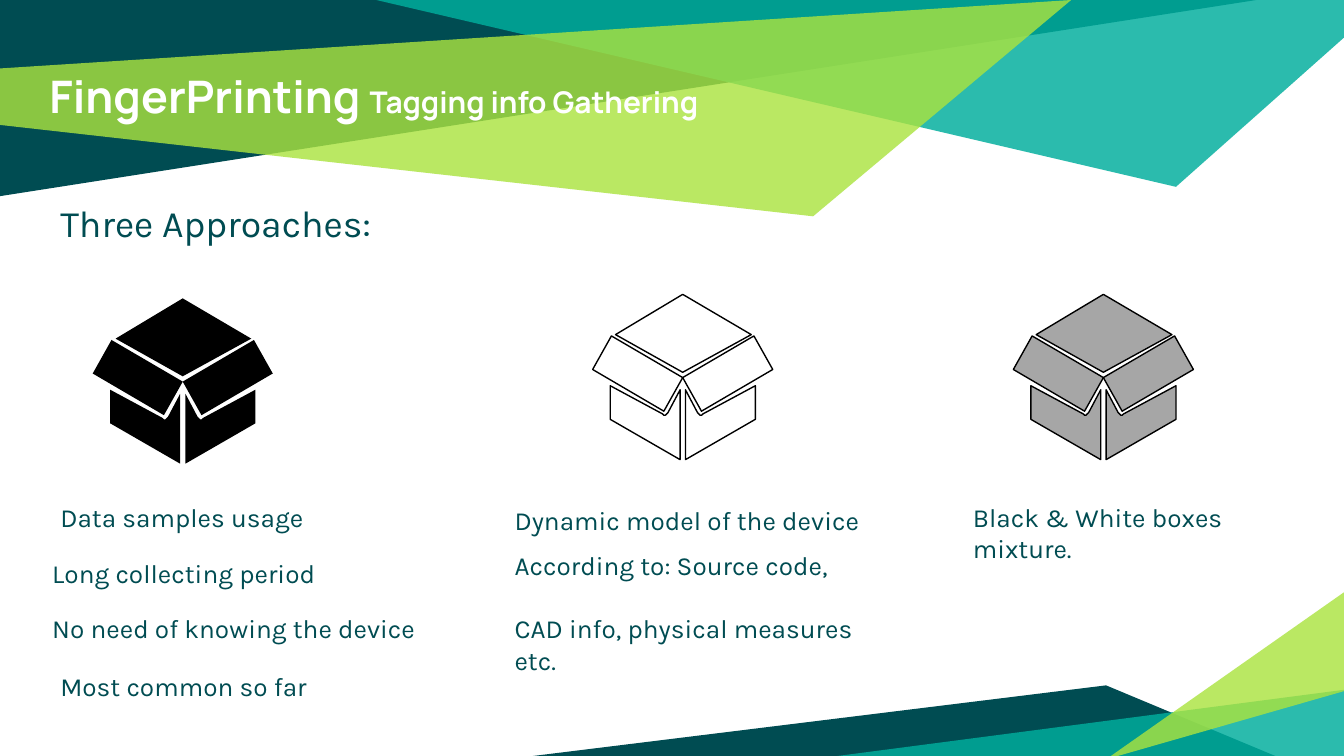
from lxml import etree
from pptx import Presentation
from pptx.dml.color import RGBColor
from pptx.enum import text
from pptx.oxml import ns
from pptx.util import Inches, Pt

DARK, TEAL, LIME, WHITE = "004C52", "00AE9D", "ABE33F", "FFFFFF"

BANDS = [
    (DARK, 100, [(0, 0), (0, 1.46), (9.35, 0)]),
    (TEAL, 83, [(2.8, 0), (8.75, 1.39), (10, 0.28), (10, 0)]),
    (LIME, 81, [(-0.01, 0.51), (0, 0.93), (6.05, 1.61), (7.97, 0)]),
    (DARK, 100, [(3.93, 5.63), (9.5, 5.63), (8.23, 5.1)]),
    (TEAL, 83, [(10.02, 5.13), (10.02, 5.65), (6.04, 5.65)]),
    (LIME, 81, [(10.01, 5.14), (10.01, 4.4), (8.23, 5.65)]),
]

LID = [(0, 0), (-0.5, 0.3), (0, 0.58), (0.51, 0.3)]
LEFT_WALL = [(-0.54, 0.68), (-0.54, 0.93), (-0.02, 1.23), (-0.02, 0.71), (-0.11, 0.88),
             (-0.12, 0.89), (-0.13, 0.9), (-0.14, 0.9), (-0.15, 0.89)]
LEFT_FLAP = [(-0.53, 0.31), (-0.67, 0.56), (-0.14, 0.87), (0, 0.62)]

BOXES = [
    (5.08, 2.19, WHITE, "000000"),
    (1.36, 2.22, "000000", None),
    (8.21, 2.19, "A6A6A6", "000000"),
]

TITLE = [("FingerPrinting ", 24), ("Tagging info Gathering", 16)]
HEADING = "Three Approaches:"
NOTES = [
    (0.35, 3.63, 2.18, 0.36, "Data samples usage"),
    (0.29, 4.05, 2.18, 0.36, "Long collecting period"),
    (0.29, 4.46, 2.98, 0.36, "No need of knowing the device"),
    (0.35, 4.89, 2.18, 0.36, "Most common so far"),
    (3.73, 3.65, 2.89, 0.36, "Dynamic model of the device"),
    (3.73, 3.99, 2.89, 0.36, "According to: Source code,"),
    (3.73, 4.46, 2.89, 0.36, "CAD info, physical measures etc."),
    (7.14, 3.63, 2.16, 0.58, "Black & White boxes mixture."),
]


def color(value):
    return RGBColor.from_string(value)


def add_polygon(shapes, points, fill, line=None, opacity=100):
    corners = [(Inches(x), Inches(y)) for x, y in points]
    builder = shapes.build_freeform(*corners[0], scale=1.0)
    builder.add_line_segments(corners[1:], close=True)
    shape = builder.convert_to_shape()
    shape.shadow.inherit = False
    shape.fill.solid()
    shape.fill.fore_color.rgb = color(fill)
    if opacity < 100:
        fill_element = shape.fill._xPr.find(ns.qn("a:solidFill"))[0]
        etree.SubElement(fill_element, ns.qn("a:alpha"), val=str(opacity * 1000))
    if line:
        shape.line.color.rgb = color(line)
        shape.line.width = Pt(0.75)
    else:
        shape.line.fill.background()


def add_box(shapes, center, top, fill, line):
    group = shapes.add_group_shape()
    mirrored = [[(-x, y) for x, y in part] for part in (LEFT_WALL, LEFT_FLAP)]
    for part in (mirrored[0], LEFT_WALL, LID, LEFT_FLAP, mirrored[1]):
        points = [(center + x, top + y) for x, y in part]
        add_polygon(group.shapes, points, fill, line)


def add_text(shapes, left, top, width, height, runs, font, fill, bold=False):
    box = shapes.add_textbox(Inches(left), Inches(top), Inches(width), Inches(height))
    frame = box.text_frame
    frame.word_wrap = True
    frame.vertical_anchor = text.MSO_ANCHOR.TOP
    frame.margin_left = frame.margin_right = Inches(0.1)
    frame.margin_top = frame.margin_bottom = Inches(0.1)
    for words, size in runs:
        run = frame.paragraphs[0].add_run()
        run.text = words
        run.font.name = font
        run.font.size = Pt(size)
        run.font.bold = bold
        run.font.color.rgb = color(fill)


def main():
    presentation = Presentation()
    presentation.slide_width = Inches(10)
    presentation.slide_height = Inches(10) * 9 // 16
    slide = presentation.slides.add_slide(presentation.slide_layouts[6])
    shapes = slide.shapes

    for fill, opacity, points in BANDS:
        add_polygon(shapes, points, fill, opacity=opacity)
    add_text(shapes, 0.27, 0.41, 8.06, 0.94, TITLE, "Manrope", WHITE, bold=True)
    add_text(shapes, 0.35, 1.39, 2.58, 0.5, [(HEADING, 20)], "Karla", DARK)
    for box in BOXES:
        add_box(shapes, *box)
    for left, top, width, height, words in NOTES:
        add_text(shapes, left, top, width, height, [(words, 14)], "Karla", DARK)

    presentation.save("out.pptx")


if __name__ == "__main__":
    main()
